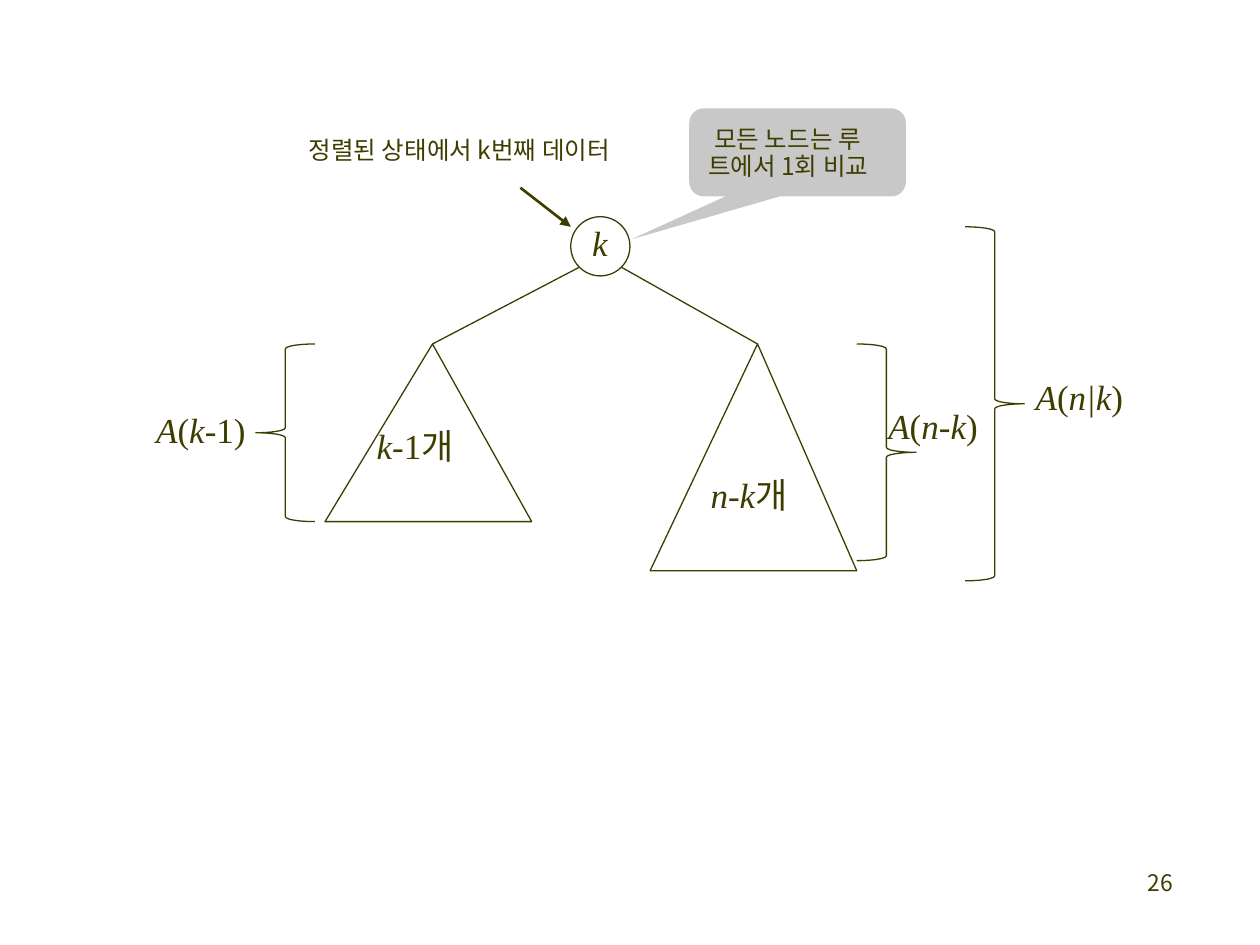
from dataclasses import dataclass
from itertools import groupby

from lxml.etree import SubElement
from pptx import Presentation
from pptx.dml.color import RGBColor
from pptx.enum.shapes import MSO_CONNECTOR, MSO_SHAPE
from pptx.enum.text import MSO_ANCHOR, PP_ALIGN
from pptx.oxml.ns import qn
from pptx.util import Inches, Pt


@dataclass(frozen=True)
class Theme:
    ink: RGBColor = RGBColor(0x3E, 0x3D, 0x00)
    callout: RGBColor = RGBColor(0xC8, 0xC8, 0xC8)
    formula_font: str = "Times New Roman"
    korean_font: str = "Noto Sans CJK KR"
    formula_size: int = 20
    note_size: int = 14
    number_size: int = 13
    outline: float = 0.75
    arrow: float = 1.5


THEME = Theme()
UPRIGHT = "()1개"
BRACE_WIDTH = 0.47
NODE_SIZE = 0.47
SUBTREE_WIDTH = 1.64
APEX_RATIO = 0.52


def inches(*lengths):
    return [Inches(length) for length in lengths]


def style_paragraph(paragraph, font_name, size):
    font = paragraph.font
    font.name = font_name
    font.size = Pt(size)
    font.color.rgb = THEME.ink
    SubElement(font._rPr, qn("a:ea")).set("typeface", THEME.korean_font)


def add_label(slide, left, top, width, height, wrap=False, inset=0.01):
    frame = slide.shapes.add_textbox(*inches(left, top, width, height)).text_frame
    frame.word_wrap = wrap
    frame.margin_left, frame.margin_top = inches(inset, 0.01)
    frame.margin_right = frame.margin_bottom = 0
    frame.vertical_anchor = MSO_ANCHOR.TOP
    paragraph = frame.paragraphs[0]
    paragraph.alignment = PP_ALIGN.LEFT
    paragraph.space_before = Pt(1.1)
    return paragraph


def add_formula(slide, text, left, top, width, wrap=False):
    formula = add_label(slide, left, top, width, 0.36, wrap)
    style_paragraph(formula, THEME.formula_font, THEME.formula_size)
    for upright, letters in groupby(text, lambda letter: letter in UPRIGHT):
        run = formula.add_run()
        run.text = "".join(letters)
        run.font.italic = not upright


def add_note(slide, text, left, top, width, height, wrap=False):
    note = add_label(slide, left, top, width, height, wrap)
    note.text = text
    style_paragraph(note, THEME.korean_font, THEME.note_size)
    return note


def add_outline(slide, kind, left, top, width, height):
    outline = slide.shapes.add_shape(kind, *inches(left, top, width, height))
    outline.shadow.inherit = False
    outline.fill.background()
    outline.line.color.rgb = THEME.ink
    outline.line.width = Pt(THEME.outline)
    return outline


def add_line(slide, start, end, weight):
    line = slide.shapes.add_connector(MSO_CONNECTOR.STRAIGHT, *inches(*start, *end))
    line.line.color.rgb = THEME.ink
    line.line.width = Pt(weight)
    SubElement(line._element.spPr, qn("a:effectLst"))
    return line


def add_root(slide, left, top):
    add_outline(slide, MSO_SHAPE.OVAL, left, top, NODE_SIZE, NODE_SIZE)
    add_formula(slide, "k", left + 0.16, top + 0.03, 0.15)


def add_subtree(slide, count, left, top, height, count_left, count_top, branch_start):
    triangle = add_outline(slide, MSO_SHAPE.ISOSCELES_TRIANGLE, left, top, SUBTREE_WIDTH, height)
    triangle.adjustments[0] = APEX_RATIO
    add_line(slide, branch_start, (left + SUBTREE_WIDTH * APEX_RATIO, top), THEME.outline)
    add_formula(slide, count, left + count_left, top + count_top, 0.66, wrap=True)


def add_brace(slide, kind, cost, left, top, height, cost_left, cost_top):
    add_outline(slide, kind, left, top, BRACE_WIDTH, height)
    add_formula(slide, cost, left + cost_left, top + cost_top, 0.74)


def add_root_caption(slide, left, top, width, height):
    add_note(slide, "정렬된 상태에서 k번째 데이터", left, top, width, height)
    arrow = add_line(slide, (left + 1.69, top + 0.43), (left + 2.09, top + 0.74), THEME.arrow)
    SubElement(arrow.line._get_or_add_ln(), qn("a:tailEnd")).set("type", "triangle")


def add_callout(slide, left, top, width, height, tip):
    callout = add_outline(slide, MSO_SHAPE.ROUNDED_RECTANGULAR_CALLOUT, left, top, width, height)
    callout.fill.solid()
    callout.fill.fore_color.rgb = THEME.callout
    callout.line.fill.background()
    tip_x, tip_y = tip
    callout.adjustments[0] = (tip_x - left) / width - 0.5
    callout.adjustments[1] = (tip_y - top) / height - 0.5
    note = add_note(slide, "모든 노드는 루 트에서 1회 비교", left + 0.14, top + 0.14, 1.44, 0.47, wrap=True)
    note.line_spacing = Pt(15.1)
    note._p.get_or_add_pPr().set("indent", str(Inches(0.05)))


def add_slide_number(slide, left, top, width, height):
    number = add_label(slide, left, top, width, height, inset=0.04)
    number.text = "26"
    number.space_before = Pt(0)
    number.line_spacing = Pt(14.7)
    style_paragraph(number, THEME.korean_font, THEME.number_size)


def main():
    presentation = Presentation()
    presentation.slide_width, presentation.slide_height = inches(10, 7.5)
    slide = presentation.slides.add_slide(presentation.slide_layouts[6])

    add_root(slide, 4.53, 1.72)
    add_subtree(slide, "k-1개", 2.58, 2.73, 1.41, 0.4, 0.63, (4.6, 2.12))
    add_subtree(slide, "n-k개", 5.16, 2.73, 1.8, 0.47, 1.02, (4.93, 2.12))
    add_brace(slide, MSO_SHAPE.LEFT_BRACE, "A(k-1)", 2.03, 2.73, 1.41, -0.8, 0.5)
    add_brace(slide, MSO_SHAPE.RIGHT_BRACE, "A(n-k)", 6.8, 2.73, 1.72, 0.24, 0.47)
    add_brace(slide, MSO_SHAPE.RIGHT_BRACE, "A(n|k)", 7.66, 1.8, 2.81, 0.55, 1.17)
    add_callout(slide, 5.47, 0.86, 1.72, 0.7, (5.01, 1.9))
    add_root_caption(slide, 2.44, 1.06, 2.67, 0.26)
    add_slide_number(slide, 9.07, 6.9, 0.3, 0.21)

    presentation.save("out.pptx")


if __name__ == "__main__":
    main()
